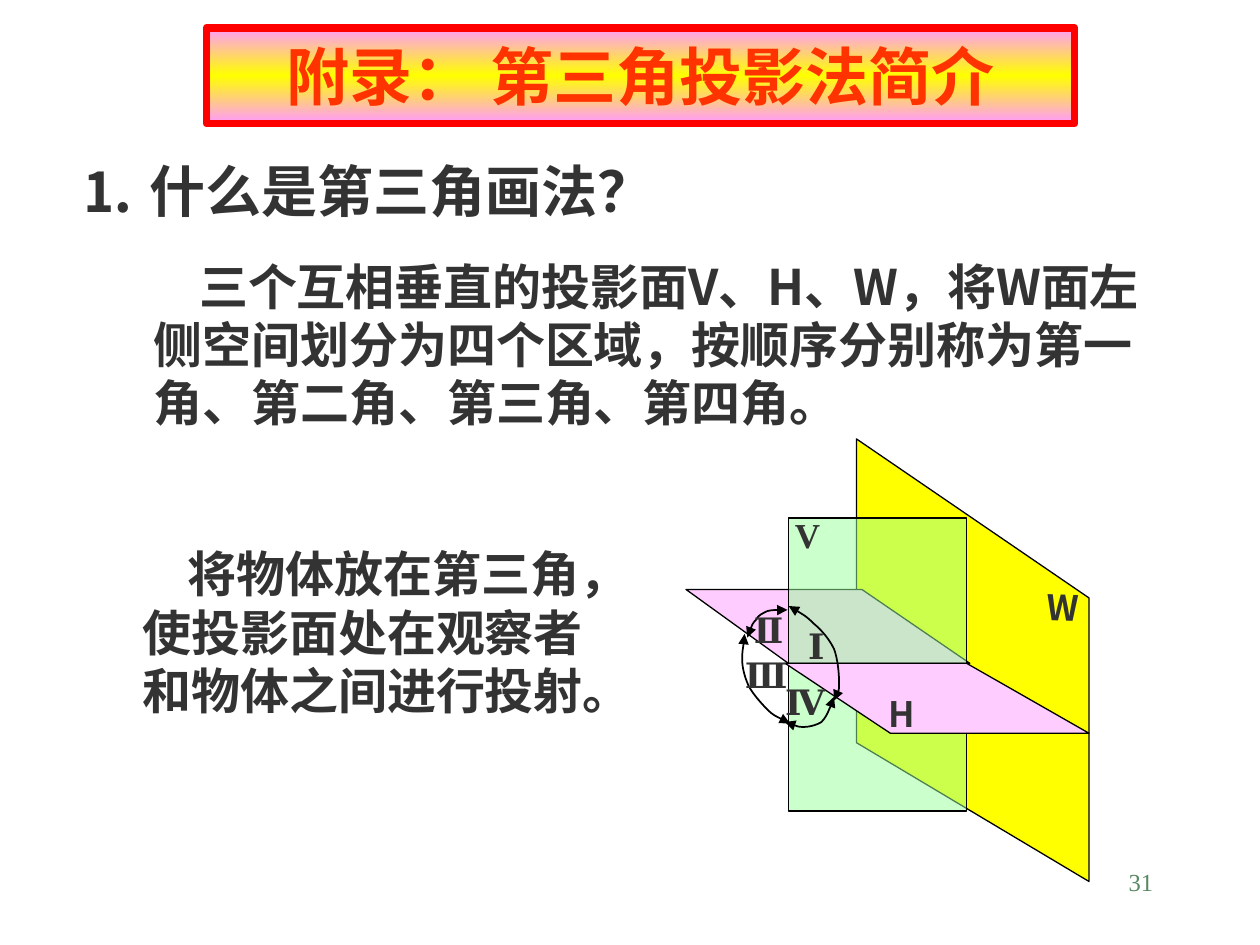
from lxml import etree
from pptx import Presentation
from pptx.dml.color import RGBColor
from pptx.enum.text import MSO_ANCHOR, MSO_AUTO_SIZE, PP_ALIGN
from pptx.oxml.ns import qn
from pptx.util import Pt

LEFT, MID, RIGHT = PP_ALIGN.LEFT, PP_ALIGN.CENTER, PP_ALIGN.RIGHT
TOP, CENTER = MSO_ANCHOR.TOP, MSO_ANCHOR.MIDDLE
FIXED = MSO_AUTO_SIZE.NONE

THEME = {
    "sans": "Noto Sans CJK SC", "serif": "Times New Roman",
    "ink": "333333", "title": "FF3300", "page": "578963",
    "frame": "FF0000", "edge": "000000",
    "glow": ("FF99FF", "FFFF00", "FF99FF"),
    "yellow": "FFFF00", "pink": "FFCCFF", "green": "99FF99",
    "big": 36, "head": 32, "body": 28, "label": 20, "small": 14,
    "lead": 33.4, "indent": 26,
}

TITLE = ("附录： 第三角投影法简介", (118, 15.8, 496, 54.8))
HEAD = ("⒈ 什么是第三角画法？", (38.9, 85.7, 387.4, 45.4))
BODY = [
    ("三个互相垂直的投影面V、H、W，将W面左侧空间划分为四个区域，按顺序分别称为第一角、第二角、第三角、第四角。",
     (80.6, 142.6, 591.8, 108)),
    ("将物体放在第三角，使投影面处在观察者和物体之间进行投射。",
     (74.2, 290.2, 277.9, 141.8)),
]
PAGE = ("31", (516.2, 491.8, 149.8, 36))

PLANES = [
    ("yellow", 100, [(489.4, 250.8), (489.4, 424.4), (622.3, 503.7), (622.3, 341.7)]),
    ("pink", 100, [(554.2, 379), (492.5, 336.8), (392, 336.8), (450.5, 379)]),
    ("green", 50, [(552.3, 296), (552.3, 463.4), (450.5, 463.4), (450.5, 296)]),
    ("pink", 100, [(552.3, 379), (622.3, 419), (508.8, 419), (448.6, 379)]),
]
ARCS = [
    [(450.7, 346.3), (455.8, 349.2), (460.8, 352.1), (465.1, 356.4),
     (469.4, 360), (473.8, 365), (476.6, 370.8), (478.8, 376.6),
     (479.5, 385.2), (479.5, 390.2), (479.5, 395.3), (478.1, 397.4), (476.6, 400.3)],
    [(450, 348.5), (447.8, 348.5), (441.4, 348.5), (438.5, 349.2), (435.6, 350.6),
     (433.4, 351.4), (432, 354.2), (429.8, 356.4), (427.7, 362.2), (427, 364.3)],
    [(425.5, 362.2), (425.5, 365), (424.1, 372.2), (424.1, 376.6),
     (424.1, 381.6), (425.5, 386.6), (427.7, 391.7), (429.8, 396),
     (434.9, 401.8), (438.5, 405.4), (442.1, 409), (448.6, 411.8), (451.4, 413.3)],
    [(476.6, 398.2), (475.9, 398.9), (475.2, 402.5), (473.8, 405.4),
     (473, 407.5), (471.6, 410.4), (469.4, 412.6), (467.3, 414),
     (463, 415.4), (459.4, 415.4), (455.8, 415.4), (450.7, 413.3), (448.6, 412.6)],
]
LABELS = [
    ("W", "sans", (595.4, 331.2, 24.5, 31), 1.9),
    ("V", "serif", (447.1, 290.2, 28.8, 31), 0),
    ("H", "sans", (503.3, 392.4, 24.5, 31), 0),
    ("Ⅰ", "serif", (447.1, 353.5, 38.9, 31), 0),
    ("Ⅱ", "serif", (421.9, 344.2, 34.6, 31), 0),
    ("Ⅲ", "serif", (420.5, 370.1, 34.6, 31), 0),
    ("Ⅳ", "serif", (440.6, 385.2, 38.9, 31), 0),
]


def rgb(name):
    return RGBColor.from_string(THEME[name])


def place(shape, box):
    shape.left, shape.top, shape.width, shape.height = map(Pt, box)


def write(shape, text, size, face="sans", color="ink", align=LEFT,
          anchor=CENTER, bold=True, wrap=True):
    frame = shape.text_frame
    frame.text = text
    frame.auto_size = FIXED
    frame.word_wrap = wrap
    frame.vertical_anchor = anchor
    para = frame.paragraphs[0]
    para.alignment = align
    para.space_before = Pt(0)
    font = para.font
    font.name, font.size, font.bold = THEME[face], Pt(THEME[size]), bold
    font.color.rgb = rgb(color)
    east = etree.SubElement(font._element, qn("a:ea"))
    east.set("typeface", THEME[face])
    return para


def box(slide, spot):
    return slide.shapes.add_textbox(*map(Pt, spot))


def outline(slide, points, width, close):
    first, *rest = [(Pt(x), Pt(y)) for x, y in points]
    pen = slide.shapes.build_freeform(*first)
    pen.add_line_segments(rest, close=close)
    shape = pen.convert_to_shape()
    shape.shadow.inherit = False
    shape.line.color.rgb = rgb("edge")
    shape.line.width = Pt(width)
    return shape


def plane(slide, color, alpha, points):
    shape = outline(slide, points, 0.75, True)
    shape.fill.solid()
    shape.fill.fore_color.rgb = rgb(color)
    if alpha < 100:
        tint = shape._element.spPr.find(".//" + qn("a:srgbClr"))
        etree.SubElement(tint, qn("a:alpha")).set("val", str(alpha * 1000))


def arc(slide, points):
    shape = outline(slide, points, 1, False)
    shape.fill.background()
    route = shape._element.spPr.find(".//" + qn("a:path"))
    steps = route.findall(qn("a:lnTo"))
    for i in range(0, len(steps), 3):
        curve = etree.SubElement(route, qn("a:cubicBezTo"))
        for step in steps[i:i + 3]:
            curve.append(step[0])
            route.remove(step)
    line = shape.line._get_or_add_ln()
    for end in ("a:headEnd", "a:tailEnd"):
        etree.SubElement(line, qn(end)).set("type", "triangle")


def banner(shape):
    text, spot = TITLE
    place(shape, spot)
    write(shape, text, "big", color="title", align=MID)
    shape.fill.gradient()
    shape.fill.gradient_angle = 90
    stops = shape.fill._fill._gradFill.find(qn("a:gsLst"))
    for stop in list(stops):
        stops.remove(stop)
    for i, color in enumerate(THEME["glow"]):
        stop = etree.SubElement(stops, qn("a:gs"), pos=str(i * 50000))
        etree.SubElement(stop, qn("a:srgbClr"), val=color)
    shape.line.color.rgb = rgb("frame")
    shape.line.width = Pt(4.5)


def passage(shape, text, spot):
    place(shape, spot)
    para = write(shape, text, "body")
    para.line_spacing = Pt(THEME["lead"])
    props = para._p.get_or_add_pPr()
    props.set("marL", "0")
    props.set("indent", str(Pt(THEME["indent"])))
    props.insert_element_before(props.makeelement(qn("a:buNone"), {}),
                                "a:tabLst", "a:defRPr", "a:extLst")


def main():
    deck = Presentation()
    deck.slide_width, deck.slide_height = Pt(720), Pt(540)
    slide = deck.slides.add_slide(deck.slide_layouts[3])
    banner(slide.shapes.title)
    for hold, (text, spot) in zip(list(slide.placeholders)[1:], BODY):
        passage(hold, text, spot)
    write(box(slide, HEAD[1]), HEAD[0], "head")
    write(box(slide, PAGE[1]), PAGE[0], "small", "serif", "page", RIGHT, TOP, False)
    for color, alpha, points in PLANES:
        plane(slide, color, alpha, points)
    for points in ARCS:
        arc(slide, points)
    for text, face, spot, turn in LABELS:
        label = box(slide, spot)
        label.rotation = turn
        write(label, text, "label", face, align=MID, wrap=False)
    deck.save("out.pptx")


if __name__ == "__main__":
    main()
